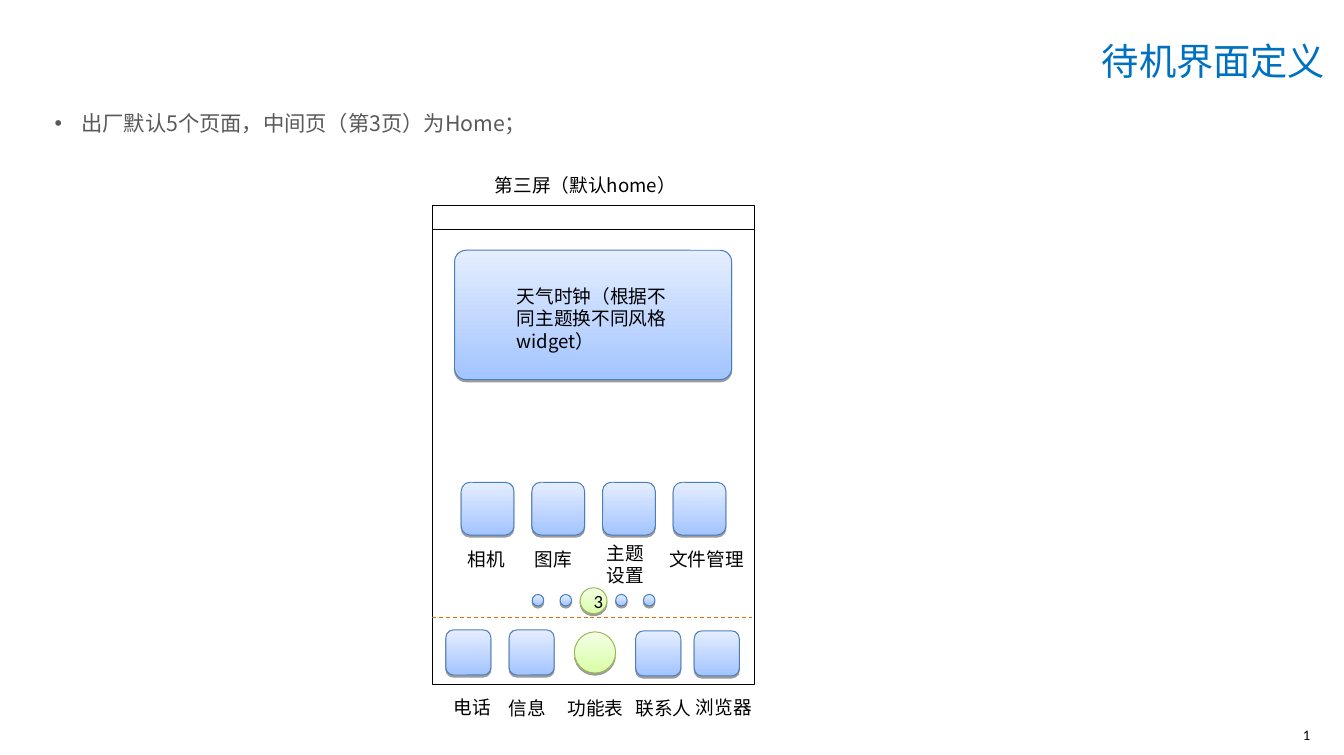
"""Draws the definition of a phone's standby screen."""
from dataclasses import dataclass

from lxml import etree
from pptx import Presentation
from pptx.dml.color import RGBColor
from pptx.enum import dml, shapes, text
from pptx.oxml import ns
from pptx.util import Inches, Pt


@dataclass(frozen=True)
class Theme:
    """Colours, fonts and type sizes of the slide."""
    black: str = "000000"
    title: str = "0070C0"
    body: str = "595959"
    dash: str = "E46C0A"
    blue: tuple = ("A3C4FF", "E5EEFF", "4A7EBB")
    green: tuple = ("DAFDA7", "F5FFE6", "98B954")
    font: str = "Noto Sans CJK SC"
    digit: str = "Calibri"
    large: int = 28
    mid: int = 16
    base: int = 14
    small: int = 11


THEME = Theme()
ALIGN = text.PP_ALIGN
KIND = shapes.MSO_SHAPE


def rgb(code):
    """Turn a hex code into a colour."""
    return RGBColor.from_string(code)


def child(host, tag, **attrs):
    """Append an XML element to its host."""
    return etree.SubElement(host, ns.qn(tag), attrs)


def write(shape, lines, size=THEME.base, color=THEME.black, font=THEME.font,
          align=ALIGN.LEFT, inset=(0.1, 0.05), wrap=True, middle=False):
    """Fill a shape with one run for each line."""
    frame = shape.text_frame
    frame.word_wrap = wrap
    frame.margin_left = frame.margin_right = Inches(inset[0])
    frame.margin_top = frame.margin_bottom = Inches(inset[1])
    frame.vertical_anchor = text.MSO_ANCHOR.MIDDLE if middle else text.MSO_ANCHOR.TOP
    for index, line in enumerate(lines.split("\n")):
        para = frame.add_paragraph() if index else frame.paragraphs[0]
        para.alignment = align
        run = para.add_run()
        run.text = line
        run.font.name = font
        run.font.size = Pt(size)
        run.font.color.rgb = rgb(color)
        child(run.font._element, "a:ea", typeface=font)


def label(slide, box, lines, **style):
    """Add a text box."""
    shape = slide.shapes.add_textbox(*map(Inches, box))
    write(shape, lines, **style)
    return shape


def bullet(shape, indent):
    """Give the first paragraph a hanging round bullet."""
    props = shape.text_frame.paragraphs[0]._p.get_or_add_pPr()
    props.set("marL", str(Inches(indent)))
    props.set("indent", str(-Inches(indent)))
    child(child(props, "a:buClr"), "a:srgbClr", val=THEME.body)
    child(props, "a:buFont", typeface="Arial")
    child(props, "a:buChar", char="•")


def button(host, kind, box, tone=THEME.blue, round=None):
    """Add a shaded shape with a thin shadow."""
    shape = host.shapes.add_shape(kind, *map(Inches, box))
    if round:
        shape.adjustments[0] = round
    shape.fill.gradient()
    shape.fill.gradient_angle = 90
    for stop, code, place in zip(shape.fill.gradient_stops, tone, (0, 1)):
        stop.color.rgb = rgb(code)
        stop.position = place
    shape.line.color.rgb = rgb(tone[2])
    shape.line.width = Pt(0.75)
    shape.shadow.inherit = False
    effects = shape._element.spPr.find(ns.qn("a:effectLst"))
    shade = child(effects, "a:outerShdw", blurRad="0", dist=str(Pt(1.6)),
                  dir="5400000", rotWithShape="0")
    child(child(shade, "a:srgbClr", val=THEME.black), "a:alpha", val="38000")
    return shape


def rule(slide, top, color, dash=None):
    """Draw a line across the phone."""
    line = slide.shapes.add_connector(shapes.MSO_CONNECTOR.STRAIGHT, Inches(4.51),
                                      Inches(top), Inches(7.87), Inches(top))
    line.line.color.rgb = rgb(color)
    line.line.width = Pt(0.75)
    if dash:
        line.line.dash_style = dash
    child(line._element.spPr, "a:effectLst")


def phone(slide):
    """Draw the phone's frame, status bar and clock."""
    button(slide, KIND.ROUNDED_RECTANGLE, (4.74, 2.61, 2.89, 1.35), round=0.09)
    label(slide, (5.29, 2.92, 1.8, 0.8), "天气时钟（根据不同主题换不同风格widget）")
    frame = slide.shapes.add_shape(KIND.RECTANGLE, *map(Inches, (4.51, 2.14, 3.36, 5)))
    frame.fill.background()
    frame.line.color.rgb = rgb(THEME.black)
    frame.line.width = Pt(0.5)
    frame.shadow.inherit = False
    rule(slide, 2.39, THEME.black)
    rule(slide, 6.44, THEME.dash, dml.MSO_LINE.DASH)


def apps(slide):
    """Draw the row of app icons and their names."""
    group = slide.shapes.add_group_shape()
    names = ((4.78, 5.66, 0.59, "相机"), (5.48, 5.66, 0.59, "图库"),
             (6.23, 5.6, 0.59, "主题\n设置"), (6.88, 5.66, 0.98, "文件管理"))
    for index, (left, top, width, name) in enumerate(names):
        button(group, KIND.ROUNDED_RECTANGLE,
               (4.81 + 2.21 / 3 * index, 5.03, 0.55, 0.55))
        height = 0.34 + 0.23 * name.count("\n")
        label(slide, (left, top, width, height), name, wrap=False)


def pages(slide):
    """Draw the page dots with the third one lit."""
    group = slide.shapes.add_group_shape()
    for index in range(5):
        if index == 2:
            home = button(group, KIND.OVAL, (6.05, 6.13, 0.28, 0.27), THEME.green)
            write(home, "3", font=THEME.digit, align=ALIGN.CENTER, middle=True)
        else:
            button(group, KIND.OVAL, (5.55 + 0.29 * index, 6.2, 0.12, 0.12))


def dock(slide):
    """Draw the dock icons and their names."""
    for left, top in ((4.65, 6.57), (5.31, 6.57), (6.63, 6.58), (7.24, 6.58)):
        button(slide, KIND.ROUNDED_RECTANGLE, (left, top, 0.47, 0.47))
    button(slide, KIND.OVAL, (5.99, 6.59, 0.43, 0.43), THEME.green)
    names = ((4.63, 7.21, 0.74, "电话"), (5.21, 7.22, 0.74, "信息"),
             (5.82, 7.22, 0.86, "功能表"), (6.53, 7.22, 0.86, "联系人"),
             (7.16, 7.21, 0.86, "浏览器"))
    for left, top, width, name in names:
        label(slide, (left, top, width, 0.34), name)


def main():
    """Build and save the slide."""
    deck = Presentation()
    deck.slide_width = Inches(35.6 / 2.54)
    deck.slide_height = Inches(20 / 2.54)
    slide = deck.slides.add_slide(deck.slide_layouts[6])
    label(slide, (8.86, 0.3, 5.16, 0.67), "待机界面定义", size=THEME.large,
          color=THEME.title, align=ALIGN.RIGHT, inset=(0.2, 0.1))
    point = label(slide, (0.37, 1.05, 13.28, 0.47),
                  "出厂默认5个页面，中间页（第3页）为Home；", size=THEME.mid,
                  color=THEME.body, inset=(0.2, 0.1))
    bullet(point, 0.28)
    label(slide, (4.74, 1.76, 2.73, 0.34), "第三屏（默认home）", align=ALIGN.CENTER)
    phone(slide)
    apps(slide)
    pages(slide)
    dock(slide)
    label(slide, (13.23, 7.45, 0.79, 0.42), "1", size=THEME.small, font=THEME.digit,
          align=ALIGN.CENTER, inset=(0.13, 0.06), middle=True)
    deck.save("out.pptx")


if __name__ == "__main__":
    main()
